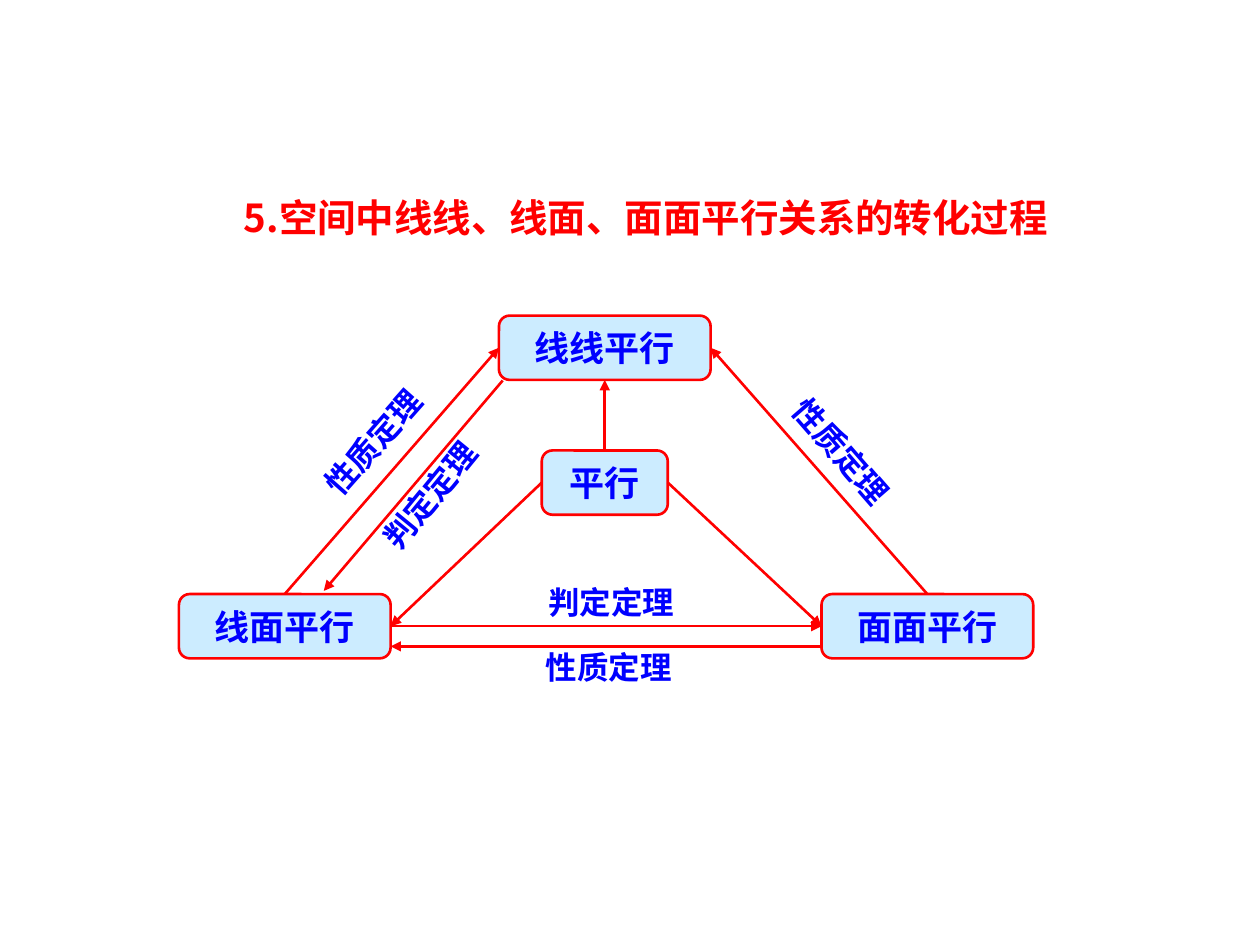
from dataclasses import dataclass

from pptx import Presentation
from pptx.dml.color import RGBColor
from pptx.enum.shapes import MSO_CONNECTOR, MSO_SHAPE
from pptx.enum.text import MSO_ANCHOR, PP_ALIGN
from pptx.oxml.ns import qn
from pptx.util import Inches, Pt
from lxml.etree import SubElement

TOP, LEFT, BOTTOM, RIGHT = range(4)


@dataclass(frozen=True)
class Theme:
    """Colours, fonts and sizes of the slide."""
    red: RGBColor = RGBColor(0xFF, 0x00, 0x00)
    blue: RGBColor = RGBColor(0x00, 0x00, 0xFF)
    pale: RGBColor = RGBColor(0xCC, 0xEC, 0xFF)
    title_font: str = "Noto Sans CJK SC"
    body_font: str = "Arial"
    title_size: Pt = Pt(22)
    node_size: Pt = Pt(20)
    label_size: Pt = Pt(18)
    line_width: Pt = Pt(1.5)


@dataclass(frozen=True)
class Box:
    """A rectangle on the slide."""
    left: int
    top: int
    width: int
    height: int

    def centred(self, x, y, width, height):
        """Return the bounds of a part centred at x, y inches inside this box."""
        width, height = Inches(width), Inches(height)
        left = self.left + Inches(x) - width // 2
        top = self.top + Inches(y) - height // 2
        return left, top, width, height


THEME = Theme()


def write(shape, text, font, size, color):
    """Put one bold centred paragraph into a shape."""
    para = shape.text_frame.paragraphs[0]
    para.text = text
    para.alignment = PP_ALIGN.CENTER
    para.font.name = font
    para.font.size = size
    para.font.bold = True
    para.font.color.rgb = color
    return para


def add_title(page, box):
    """Add the heading."""
    title = page.shapes.add_textbox(box.left, box.top, box.width, box.height)
    title.text_frame.word_wrap = True
    para = write(title, "5.空间中线线、线面、面面平行关系的转化过程",
                 THEME.title_font, THEME.title_size, THEME.red)
    para.line_spacing = 1.4


def add_node(page, bounds, text):
    """Add a rounded node of the diagram."""
    node = page.shapes.add_shape(MSO_SHAPE.ROUNDED_RECTANGLE, *bounds)
    node.shadow.inherit = False
    node.fill.solid()
    node.fill.fore_color.rgb = THEME.pale
    node.line.color.rgb = THEME.red
    node.line.width = THEME.line_width
    node.text_frame.word_wrap = False
    node.text_frame.vertical_anchor = MSO_ANCHOR.MIDDLE
    write(node, text, THEME.body_font, THEME.node_size, THEME.blue)
    return node


def add_arrow(page, start=(0, 0), end=(0, 0)):
    """Add a red arrow between two points."""
    arrow = page.shapes.add_connector(MSO_CONNECTOR.STRAIGHT, *start, *end)
    arrow.line.color.rgb = THEME.red
    arrow.line.width = THEME.line_width
    properties = arrow.element.spPr
    SubElement(properties.find(qn("a:ln")), qn("a:tailEnd"), type="triangle")
    SubElement(properties, qn("a:effectLst"))
    return arrow


def add_label(page, bounds, text, angle):
    """Add a theorem label turned by an angle."""
    label = page.shapes.add_textbox(*bounds)
    label.rotation = angle
    label.text_frame.word_wrap = True
    write(label, text, THEME.body_font, THEME.label_size, THEME.blue)


def add_diagram(page, box):
    """Add the triangle of parallel relations."""
    node_width, node_height = 1.68, 0.51
    middle, low = 3.38, 2.47
    lines, line_plane, planes, centre = (
        add_node(page, box.centred(x, y, width, node_height), text)
        for text, x, y, width in (
            ("线线平行", middle, 0.26, node_width),
            ("线面平行", 0.84, low, node_width),
            ("面面平行", 5.94, low, node_width),
            ("平行", middle, 1.33, 1),
        )
    )

    for source, source_side, target, target_side in (
        (line_plane, TOP, lines, LEFT),
        (planes, TOP, lines, RIGHT),
        (centre, TOP, lines, BOTTOM),
        (centre, LEFT, line_plane, RIGHT),
        (centre, RIGHT, planes, LEFT),
        (line_plane, RIGHT, planes, LEFT),
    ):
        arrow = add_arrow(page)
        arrow.begin_connect(source, source_side)
        arrow.end_connect(target, target_side)

    for points in (((5.1, 2.63), (1.68, 2.63)), ((2.57, 0.52), (1.15, 2.19))):
        add_arrow(page, *((box.left + Inches(x), box.top + Inches(y)) for x, y in points))

    for text, x, y, width, angle in (
        ("性质定理", 1.54, 1.01, 1.81, 311.4),
        ("性质定理", 5.26, 1.08, 1.56, 49),
        ("判定定理", 3.43, 2.28, 1.56, 0),
        ("性质定理", 3.41, 2.79, 1.85, 0),
        ("判定定理", 1.99, 1.43, 1.56, 309.3),
    ):
        add_label(page, box.centred(x, y, width, 0.4), text, angle)


def main():
    """Build and save the deck."""
    deck = Presentation()
    deck.slide_width, deck.slide_height = Inches(10), Inches(7.5)
    page = deck.slides.add_slide(deck.slide_layouts[6])
    add_title(page, Box(Inches(1.53), Inches(1.34), Inches(7.19), Inches(0.62)))
    add_diagram(page, Box(Inches(1.42), Inches(2.5), Inches(6.78), Inches(2.99)))
    deck.save("out.pptx")


if __name__ == "__main__":
    main()
